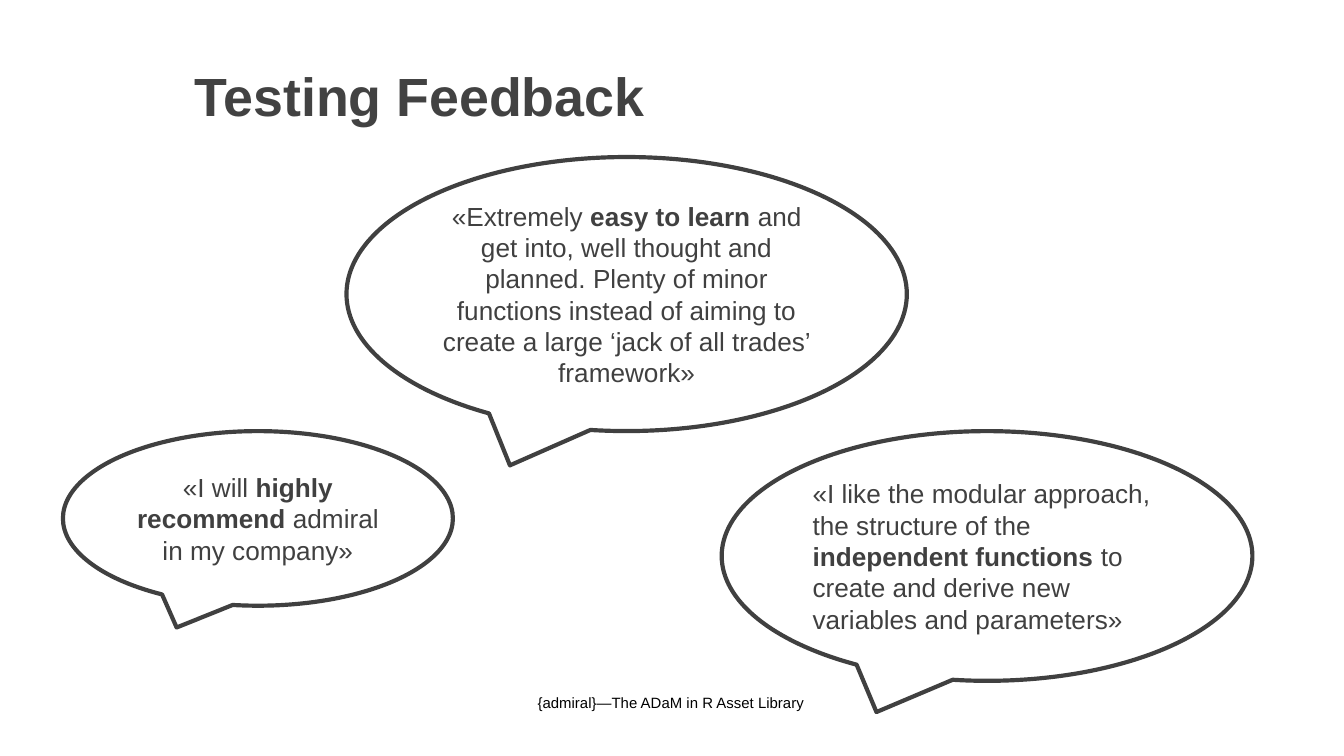
import pptx
import pptx.util
import pptx.dml.color
import pptx.enum.shapes
import pptx.enum.text

Cm = pptx.util.Cm
Align = pptx.enum.text.PP_ALIGN
Anchor = pptx.enum.text.MSO_ANCHOR

COLOURS = {"title": "424242", "callout": "404040", "footer": "000000"}

TITLE = [("Testing Feedback", True)]
FOOTER = [("{admiral}—The ADaM in R Asset Library", False)]
TITLE_BOX = (3.43, 0.94, 21.11, 1.6)
FOOTER_BOX = (9.91, 12.95, 5.59, 0.86)

QUOTES = [
    {"box": (6.55, 2.97, 10.59, 5.18), "align": Align.CENTER, "runs": [
        ("«Extremely ", False),
        ("easy to learn ", True),
        ("and get into, well thought and planned. Plenty of minor functions "
         "instead of aiming to create a large ‘jack of all trades’ framework»", False)]},
    {"box": (1.19, 8.15, 7.37, 3.3), "align": Align.CENTER, "runs": [
        ("«I will ", False),
        ("highly recommend ", True),
        ("admiral in my company»", False)]},
    {"box": (13.64, 8.15, 10.03, 4.72), "align": Align.LEFT, "runs": [
        ("«I like the modular approach, the structure of the ", False),
        ("independent functions ", True),
        ("to create and derive new variables and parameters»", False)]},
]

MARGINS = {f"margin_{side}": Cm(0.25) for side in ("left", "top", "right", "bottom")}
TITLE_FRAME = {**MARGINS, "word_wrap": True, "vertical_anchor": Anchor.TOP,
               "auto_size": pptx.enum.text.MSO_AUTO_SIZE.NONE}
FOOTER_FRAME = {**MARGINS, "word_wrap": False, "vertical_anchor": Anchor.TOP}
CALLOUT_FRAME = {"word_wrap": True, "vertical_anchor": Anchor.MIDDLE}


def set_values(target, values):
    for name, value in values.items():
        setattr(target, name, value)


def colour(name):
    return pptx.dml.color.RGBColor.from_string(COLOURS[name])


def write_text(shape, runs, size, colour_name, frame_values, align=Align.LEFT):
    set_values(shape.text_frame, frame_values)
    paragraph = shape.text_frame.paragraphs[0]
    paragraph.alignment = align
    for text, bold in runs:
        run = paragraph.add_run()
        run.text = text
        set_values(run.font, {"name": "Arial", "size": pptx.util.Pt(size), "bold": bold})
        run.font.color.rgb = colour(colour_name)


def add_callout(slide, quote):
    callout = slide.shapes.add_shape(
        pptx.enum.shapes.MSO_SHAPE.OVAL_CALLOUT, *map(Cm, quote["box"]))
    callout.shadow.inherit = False
    callout.fill.background()
    callout.line.color.rgb = colour("callout")
    callout.line.width = pptx.util.Pt(2.25)
    write_text(callout, quote["runs"], 14, "callout", CALLOUT_FRAME, quote["align"])


def main():
    """Build the slide of testing feedback quotes."""
    presentation = pptx.Presentation()
    set_values(presentation, {"slide_width": Cm(25.4), "slide_height": Cm(14.29)})
    slide = presentation.slides.add_slide(presentation.slide_layouts[5])

    title = slide.shapes.title
    set_values(title, dict(zip(("left", "top", "width", "height"), map(Cm, TITLE_BOX))))
    write_text(title, TITLE, 28.8, "title", TITLE_FRAME)

    footer = slide.shapes.add_textbox(*map(Cm, FOOTER_BOX))
    write_text(footer, FOOTER, 8, "footer", FOOTER_FRAME)

    for quote in QUOTES:
        add_callout(slide, quote)
    presentation.save("out.pptx")


if __name__ == "__main__":
    main()
